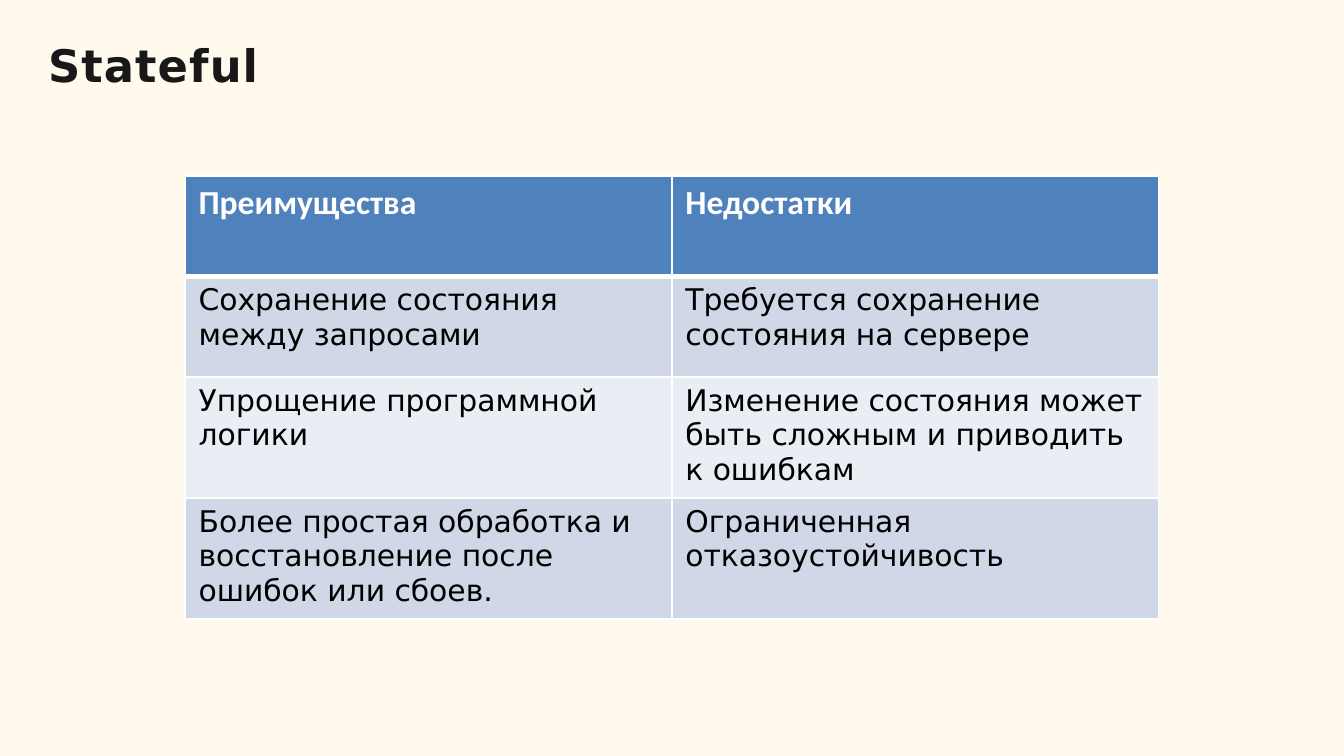
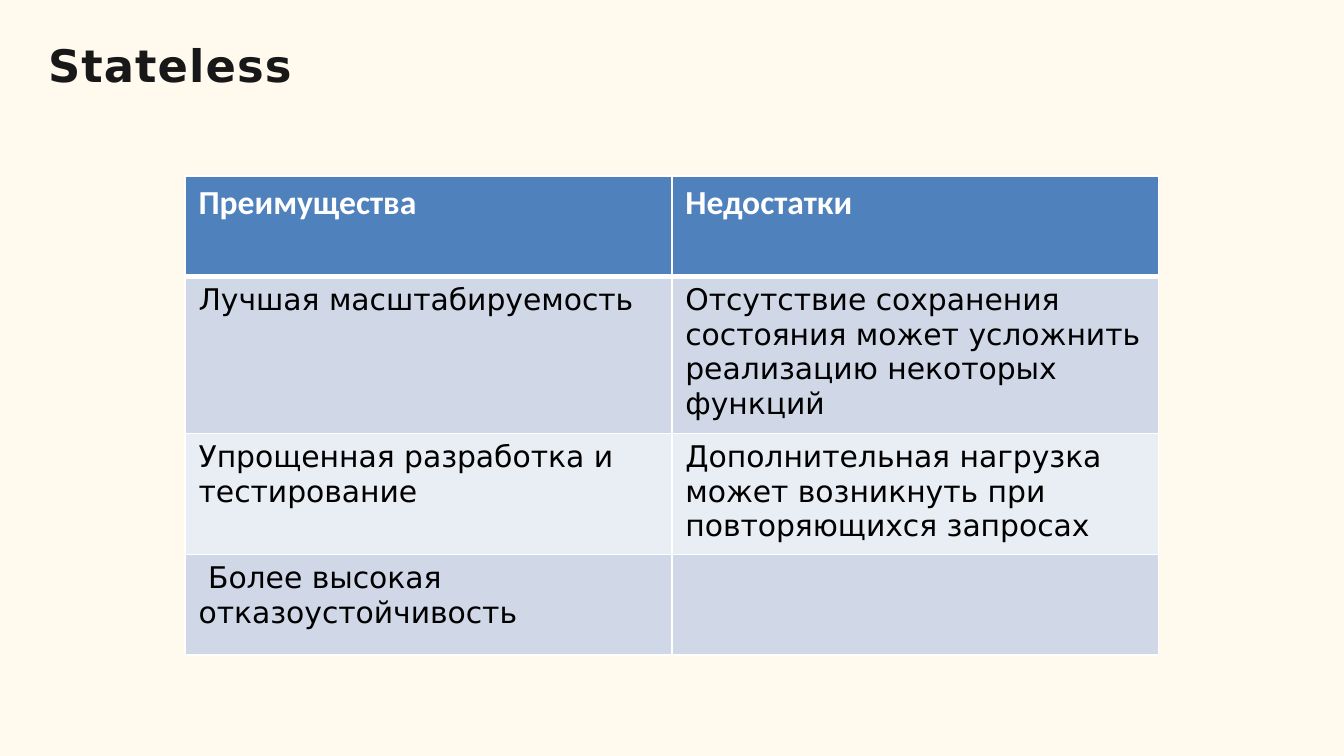
from dataclasses import dataclass

import lxml.etree
import pptx
import pptx.dml.color
import pptx.enum.text
import pptx.oxml.ns
import pptx.slide
import pptx.table
import pptx.text.text
import pptx.util
from pptx.dml.color import RGBColor
from pptx.util import Cm, Pt

CREAM = RGBColor(0xFF, 0xFA, 0xED)
INK = RGBColor(0x18, 0x18, 0x18)
WHITE = RGBColor(0xFF, 0xFF, 0xFF)
BLACK = RGBColor(0x00, 0x00, 0x00)
HEADER_BLUE = RGBColor(0x4F, 0x81, 0xBD)
BAND_DARK = RGBColor(0xD0, 0xD8, 0xE8)
BAND_LIGHT = RGBColor(0xE9, 0xED, 0xF4)

TITLE_ONLY_LAYOUT = 5
HEADINGS = ("Преимущества", "Недостатки")
COLUMN_WIDTH = Cm(9.2)
ROW_HEIGHT = Cm(1.9)
THIN, THICK = Pt(1), Pt(3)


@dataclass(frozen=True)
class TextStyle:
    font_name: str
    size: int
    color: RGBColor
    bold: bool = False


TITLE_STYLE = TextStyle("DejaVu Sans", 24, INK, bold=True)
HEADER_STYLE = TextStyle("Calibri", 18, WHITE, bold=True)
BODY_STYLE = TextStyle("DejaVu Sans", 16, BLACK)


@dataclass(frozen=True)
class Comparison:
    title: str
    rows: tuple[tuple[str, str], ...]


COMPARISONS = (
    Comparison("Stateful", (
        ("Сохранение состояния между запросами",
         "Требуется сохранение состояния на сервере"),
        ("Упрощение программной логики",
         "Изменение состояния может быть сложным и приводить к ошибкам"),
        ("Более простая обработка и восстановление после ошибок или сбоев.",
         "Ограниченная отказоустойчивость"),
    )),
    Comparison("Stateless", (
        ("Лучшая масштабируемость",
         "Отсутствие сохранения состояния может усложнить реализацию некоторых функций"),
        ("Упрощенная разработка и тестирование",
         "Дополнительная нагрузка может возникнуть при повторяющихся запросах"),
        (" Более высокая отказоустойчивость", ""),
    )),
)


def apply_style(paragraph: pptx.text.text._Paragraph, style: TextStyle) -> None:
    font = paragraph.font
    font.name = style.font_name
    font.size = Pt(style.size)
    font.bold = style.bold
    font.color.rgb = style.color


def set_title(slide: pptx.slide.Slide, text: str) -> None:
    title = slide.shapes.title
    title.left, title.top, title.width, title.height = Cm(0.91), Cm(0.69), Cm(22.7), Cm(1.07)
    frame = title.text_frame
    frame.text = text
    frame.margin_left = frame.margin_right = frame.margin_bottom = 0
    frame.margin_top = Cm(0.03)
    frame.vertical_anchor = pptx.enum.text.MSO_ANCHOR.TOP
    frame.auto_size = pptx.enum.text.MSO_AUTO_SIZE.SHAPE_TO_FIT_TEXT
    paragraph = frame.paragraphs[0]
    paragraph.alignment = pptx.enum.text.PP_ALIGN.LEFT
    paragraph.space_before = Pt(1)
    apply_style(paragraph, TITLE_STYLE)
    paragraph.runs[0]._r.get_or_add_rPr().set("spc", "60")


def set_borders(cell: pptx.table._Cell, top: int, bottom: int) -> None:
    """Draw white borders; call before filling, as the fill must follow them in the XML."""
    properties = cell._tc.get_or_add_tcPr()
    qn = pptx.oxml.ns.qn
    for side, width in (("L", THIN), ("R", THIN), ("T", top), ("B", bottom)):
        line = lxml.etree.SubElement(properties, qn(f"a:ln{side}"), w=str(int(width)))
        fill = lxml.etree.SubElement(line, qn("a:solidFill"))
        lxml.etree.SubElement(fill, qn("a:srgbClr"), val=str(WHITE))


def add_comparison_table(slide: pptx.slide.Slide, rows: tuple[tuple[str, str], ...]) -> None:
    texts = (HEADINGS, *rows)
    table = slide.shapes.add_table(
        len(texts), len(HEADINGS), Cm(3.5), Cm(3.33),
        COLUMN_WIDTH * len(HEADINGS), ROW_HEIGHT * len(texts),
    ).table
    for row_index, row_texts in enumerate(texts):
        is_header = row_index == 0
        band = BAND_DARK if row_index % 2 else BAND_LIGHT
        for column_index, text in enumerate(row_texts):
            cell = table.cell(row_index, column_index)
            set_borders(cell, THICK if row_index == 1 else THIN, THICK if is_header else THIN)
            cell.fill.solid()
            cell.fill.fore_color.rgb = HEADER_BLUE if is_header else band
            if text:
                cell.text = text
                apply_style(cell.text_frame.paragraphs[0], HEADER_STYLE if is_header else BODY_STYLE)


def main() -> None:
    presentation = pptx.Presentation()
    presentation.slide_width, presentation.slide_height = Cm(25.4), Cm(14.29)
    background = presentation.slide_master.background.fill
    background.solid()
    background.fore_color.rgb = CREAM
    for comparison in COMPARISONS:
        slide = presentation.slides.add_slide(presentation.slide_layouts[TITLE_ONLY_LAYOUT])
        set_title(slide, comparison.title)
        add_comparison_table(slide, comparison.rows)
    presentation.save("out.pptx")


if __name__ == "__main__":
    main()
